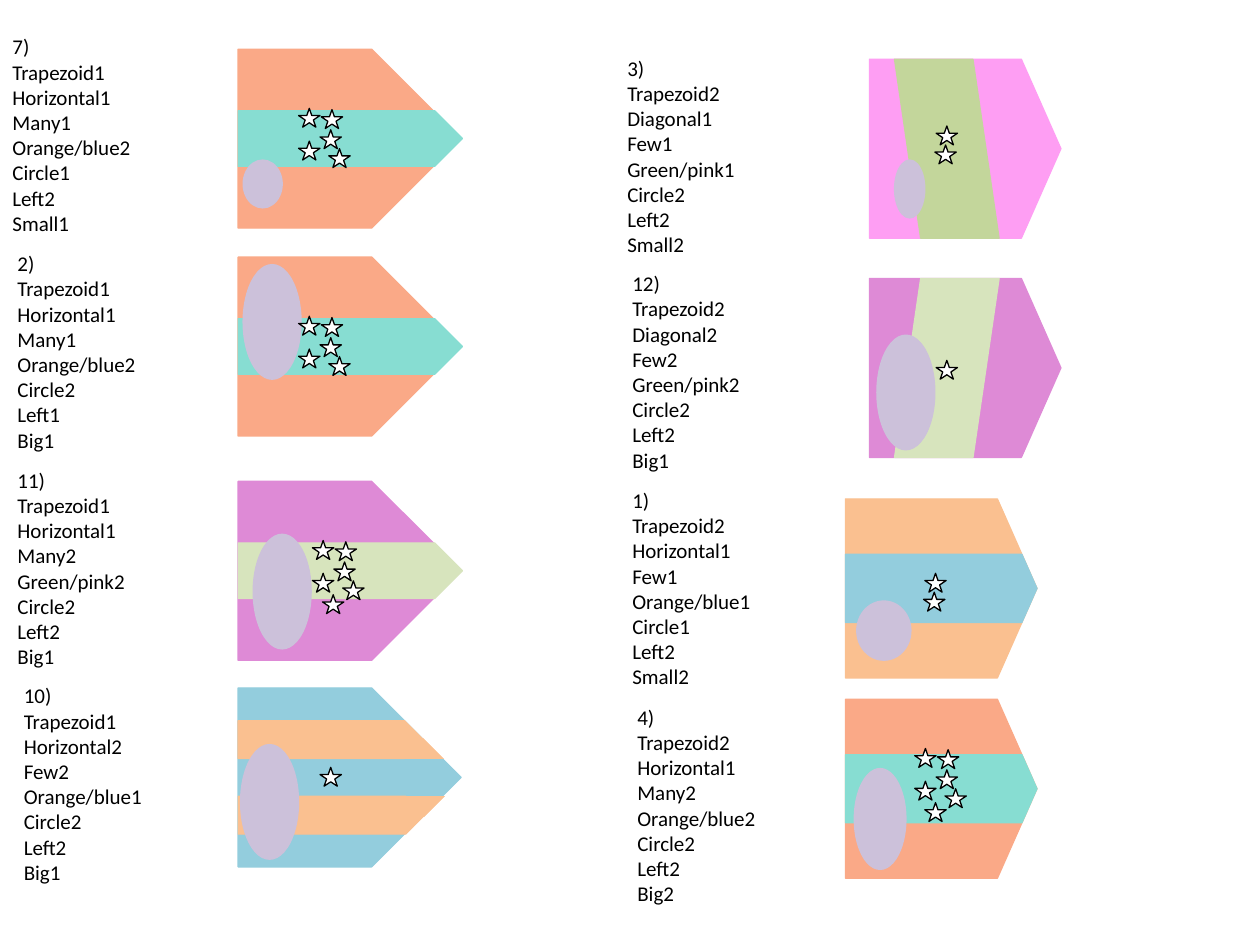
from pptx import Presentation
from pptx import util as u
from pptx.dml.color import RGBColor
from pptx.enum import shapes, text

COLORS = {"salmon": "FAA987", "teal": "87DDD2", "orchid": "DE8AD6", "sage": "D7E4BD",
          "blue": "93CDDD", "peach": "FAC090", "pink": "FE9EF3", "green": "C3D69B",
          "lilac": "CCC1DA", "white": "FFFFFF", "black": "000000"}
KINDS = {"plate": shapes.MSO_SHAPE.PENTAGON, "slant": shapes.MSO_SHAPE.PARALLELOGRAM,
         "bar": shapes.MSO_SHAPE.RECTANGLE, "circle": shapes.MSO_SHAPE.OVAL,
         "star": shapes.MSO_SHAPE.STAR_5_POINT}
LABEL_SIZE = (1.21, 1.72)
STAR_SIZE = (0.17, 0.15)
FLAG_HEIGHT = 1.42
BLUNT = 0.221
SIX = [(0, 0), (0.17, 0.17), (0.18, 0.01), (0, 0.26), (0.24, 0.32), (0.08, 0.43)]
FIVE = SIX[:5]
TWO = [(0, 0.15), (0.01, 0)]
ONE = [(0, 0)]

LABELS = [
    (0, 0.22, ["7)", "Trapezoid1 Horizontal1 Many1 Orange/blue2 Circle1", "Left2", "Small1"]),
    (0.04, 1.94, ["2)", "Trapezoid1 Horizontal1 Many1 Orange/blue2 Circle2", "Left1", "Big1"]),
    (0.04, 3.66, ["11)", "Trapezoid1 Horizontal1 Many2", "Green/pink2 Circle2", "Left2", "Big1"]),
    (0.09, 5.37, ["10)", "Trapezoid1 Horizontal2 Few2", "Orange/blue1 Circle2", "Left2", "Big1"]),
    (4.88, 0.39, ["3)", "Trapezoid2 Diagonal1 Few1", "Green/pink1 Circle2", "Left2", "Small2"]),
    (4.92, 2.1, ["12)", "Trapezoid2 Diagonal2 Few2", "Green/pink2 Circle2", "Left2", "Big1"]),
    (4.92, 3.82, ["1)", "Trapezoid2 Horizontal1 Few1", "Orange/blue1 Circle1", "Left2", "Small2"]),
    (4.96, 5.54, ["4)", "Trapezoid2 Horizontal1 Many2 Orange/blue2 Circle2", "Left2", "Big2"]),
]

SHARP = {"width": 1.77, "point": 0.5, "band": (0, 0.49, 1.78, 0.44)}
WIDE = {"width": 1.52, "point": BLUNT, "band": (0, 0.44, 1.52, 0.54)}
SLANTED = {"width": 1.52, "point": BLUNT, "slant": (0.2, 0, 0.83, FLAG_HEIGHT)}
STRIPED = {"width": 1.77, "point": 0.5}

# form, left, top, field, band, mirrored, circle, star origin, star offsets
FLAGS = [
    (SHARP, 1.89, 0.39, "salmon", "teal", False, (1.93, 1.27, 0.31, 0.38), (2.37, 0.86), FIVE),
    (SHARP, 1.89, 2.04, "salmon", "teal", False, (1.93, 2.1, 0.46, 0.91), (2.37, 2.51), FIVE),
    (SHARP, 1.89, 3.82, "orchid", "sage", False, (2.01, 4.24, 0.46, 0.91), (2.48, 4.29), SIX),
    (STRIPED, 1.89, 5.46, "blue", "peach", False, (1.91, 5.91, 0.46, 0.91), (2.54, 6.09), ONE),
    (SLANTED, 6.9, 0.47, "pink", "green", True, (7.1, 1.27, 0.24, 0.46), (7.42, 1), TWO),
    (SLANTED, 6.9, 2.21, "orchid", "sage", False, (6.96, 2.66, 0.46, 0.91), (7.43, 2.86), ONE),
    (WIDE, 6.71, 3.96, "peach", "blue", False, (6.8, 4.77, 0.43, 0.47), (7.33, 4.55), TWO),
    (WIDE, 6.71, 5.55, "salmon", "teal", False, (6.78, 6.1, 0.41, 0.8), (7.26, 5.94), SIX),
]
STRIPES = [
    {"plate": (1.89, 6.32, 1.48, 0.3), "bar": (3.2, 6.32, 0.36, 0.16), "cut": (3.29, 6.32, 0.51, 0.5)},
    {"plate": (1.89, 5.72, 1.47, 0.3), "bar": (3.14, 5.86, 0.42, 0.16), "cut": (3.36, 5.6, 0.51, 0.5)},
]


def rgb(color):
    """Return the named colour."""
    return RGBColor.from_string(COLORS[color])


def draw(parent, kind, box, color, edge=None, point=None):
    """Add one filled shape with a thin outline."""
    part = parent.shapes.add_shape(KINDS[kind], *map(u.Inches, box))
    part.shadow.inherit = False
    part.fill.solid()
    part.fill.fore_color.rgb = rgb(color)
    part.line.color.rgb = rgb(edge or color)
    part.line.width = u.Pt(0.75)
    if point:
        part.adjustments[0] = point
    return part


def add_label(slide, left, top, lines):
    """Add the numbered list of features beside a flag."""
    label = slide.shapes.add_textbox(*map(u.Inches, (left, top, *LABEL_SIZE)))
    frame = label.text_frame
    for name, value in {"word_wrap": True, "text": "\n".join(lines),
                        "auto_size": text.MSO_AUTO_SIZE.SHAPE_TO_FIT_TEXT}.items():
        setattr(frame, name, value)
    for paragraph in frame.paragraphs:
        for name, value in {"name": "Calibri", "size": u.Pt(12)}.items():
            setattr(paragraph.runs[0].font, name, value)
        paragraph.runs[0].font.color.rgb = rgb("black")


def add_stripes(slide, color):
    """Add two stripes trimmed by white notches."""
    for stripe in STRIPES:
        group = slide.shapes.add_group_shape()
        for kind in ("plate", "bar"):
            draw(group, kind, stripe[kind], color)
        draw(slide, "plate", stripe["cut"], "white").rotation = 180


def add_flag(slide, form, left, top, field, band, mirrored, circle, origin, offsets):
    """Add a flag with its band, circle and stars."""
    draw(slide, "plate", (left, top, form["width"], FLAG_HEIGHT), field, point=form["point"])
    if form is STRIPED:
        add_stripes(slide, band)
    elif form is SLANTED:
        dx, dy, width, height = form["slant"]
        slant = draw(slide, "slant", (left + dx, top + dy, width, height), band)
        if mirrored:
            slant.element.spPr.xfrm.set("flipH", "1")
    else:
        dx, dy, width, height = form["band"]
        draw(slide, "plate", (left + dx, top + dy, width, height), band, point=form["point"])
    draw(slide, "circle", circle, "lilac")
    parent = slide.shapes.add_group_shape() if len(offsets) > 1 else slide
    for dx, dy in offsets:
        draw(parent, "star", (origin[0] + dx, origin[1] + dy, *STAR_SIZE), "white", "black")


def main():
    """Build the slide of eight labelled flags."""
    deck = Presentation()
    deck.slide_width, deck.slide_height = u.Inches(10), u.Inches(7.5)
    slide = deck.slides.add_slide(deck.slide_layouts[6])
    for label in LABELS:
        add_label(slide, *label)
    for flag in FLAGS:
        add_flag(slide, *flag)
    deck.save("out.pptx")


if __name__ == "__main__":
    main()
